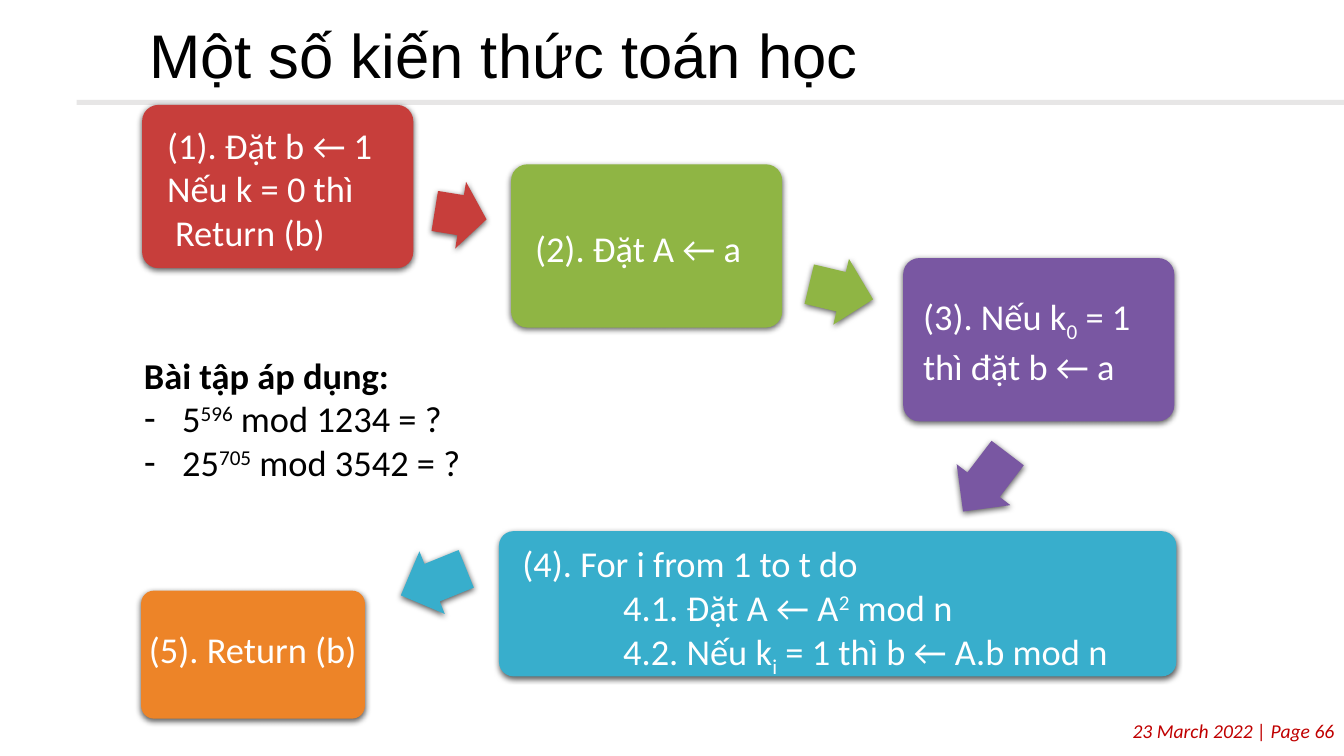
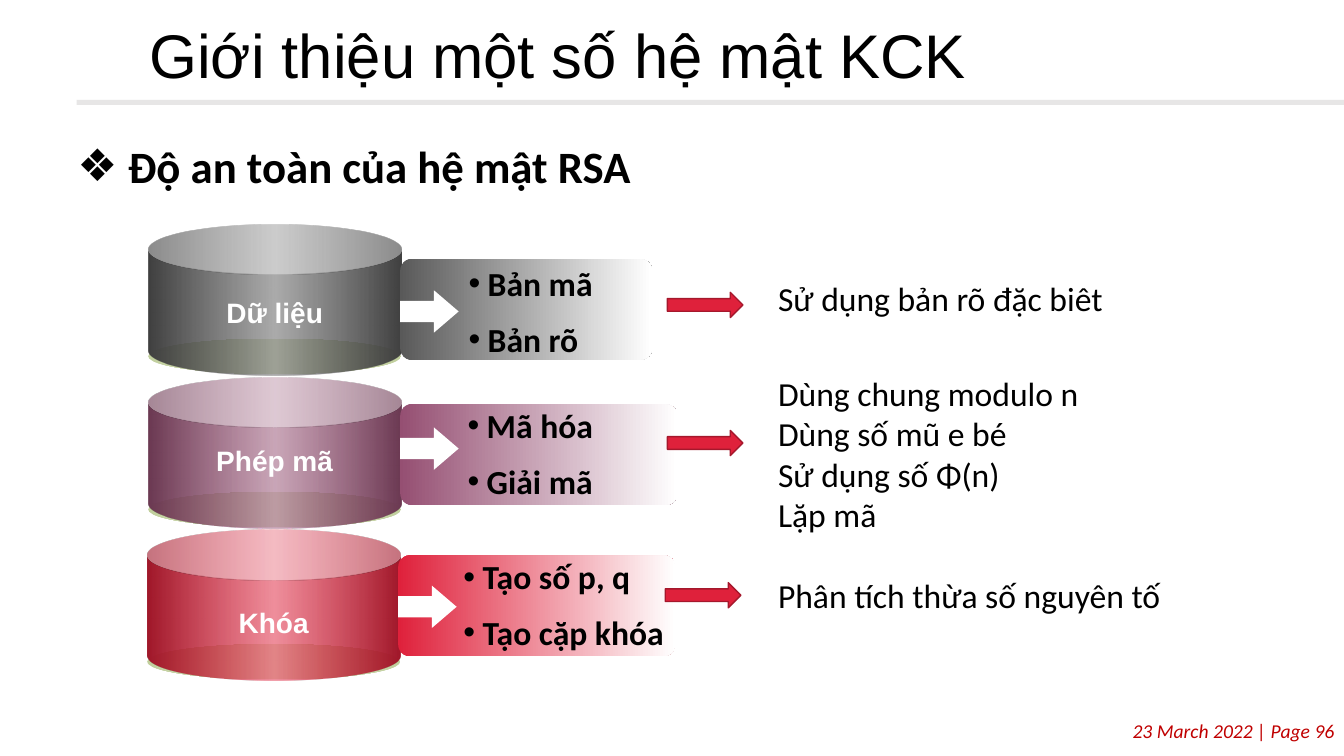
"""Build two lecture slides: an algorithm flow and an RSA safety overview."""
from dataclasses import dataclass

from lxml.etree import SubElement
from pptx import Presentation
from pptx.dml.color import RGBColor
from pptx.enum.shapes import MSO_SHAPE
from pptx.enum.text import MSO_ANCHOR, PP_ALIGN
from pptx.oxml import parse_xml
from pptx.oxml.ns import nsdecls, qn
from pptx.util import Emu, Inches, Pt

CELL = Inches(0.1)
COLUMNS, ROWS = 133.33, 75
SUBSCRIPT, SUPERSCRIPT = -25000, 30000


@dataclass(frozen=True)
class Theme:
    """Colours, fonts and type sizes of the deck."""
    title_font: str = "Arial"
    body_font: str = "Calibri"
    title_size: int = 44
    heading_size: int = 32
    step_size: int = 26
    note_size: int = 24
    label_size: int = 20
    footer_size: int = 14
    black: str = "000000"
    white: str = "FFFFFF"
    rule: str = "E7E6E6"
    footer: str = "C00000"
    red: str = "C73E3B"
    green: str = "8FB544"
    purple: str = "7957A2"
    blue: str = "38AECC"
    orange: str = "ED8428"
    crimson: str = "DF213B"
    crimson_dark: str = "A0182A"
    crimson_line: str = "A5182C"
    plum: str = "954F72"
    plum_dark: str = "6B3952"
    gray: str = "595959"
    gray_dark: str = "404040"
    base_edge: str = "C1CF9D"
    base_middle: str = "E5EBD5"


THEME = Theme()


@dataclass(frozen=True)
class Style:
    """Look of the text in one frame."""
    size: int
    color: str = THEME.black
    font: str = THEME.body_font
    bold: bool = False
    italic: bool = False
    align: PP_ALIGN = PP_ALIGN.LEFT
    line_spacing: float = 1.0
    gap: float = 0


@dataclass(frozen=True)
class Line:
    """One paragraph: its runs, indents in cells, and bullet."""
    runs: tuple
    margin: float = 0
    hanging: float = 0
    bullet: str = ""
    bold: bool = False


STEP = Style(THEME.step_size, THEME.white)
NOTE = Style(THEME.note_size)
BULLETS = Style(THEME.note_size, bold=True, gap=11)
LABEL = Style(THEME.label_size, THEME.white, THEME.title_font, bold=True,
              align=PP_ALIGN.CENTER)


def cells(count):
    """Turn grid cells into a length."""
    return Emu(round(count * CELL))


def format_paragraph(paragraph, line, style):
    """Apply indents, bullet and spacing to a paragraph."""
    properties = paragraph._p.get_or_add_pPr()
    if line.margin:
        properties.set("marL", str(cells(line.margin)))
        properties.set("indent", str(-cells(line.hanging)))
    if line.bullet:
        SubElement(properties, qn("a:buFont")).set("typeface", THEME.title_font)
        SubElement(properties, qn("a:buChar")).set("char", line.bullet)
    paragraph.alignment = style.align
    paragraph.line_spacing = style.line_spacing


def add_run(paragraph, content, style, bold):
    """Add a run given as text or as text with a baseline shift."""
    text, baseline = (content, 0) if isinstance(content, str) else content
    run = paragraph.add_run()
    run.text = text
    run.font.name = style.font
    run.font.size = Pt(style.size)
    run.font.bold = bold
    run.font.italic = style.italic
    run.font.color.rgb = RGBColor.from_string(style.color)
    if baseline:
        run._r.get_or_add_rPr().set("baseline", str(baseline))


def write(shape, lines, style, insets=(1, 0.5, 1, 0.5), anchor=MSO_ANCHOR.TOP):
    """Fill a shape's text frame with lines."""
    frame = shape.text_frame
    frame.word_wrap = True
    frame.vertical_anchor = anchor
    (frame.margin_left, frame.margin_top,
     frame.margin_right, frame.margin_bottom) = map(cells, insets)
    for index, item in enumerate(lines):
        line = Line((item,)) if isinstance(item, str) else item
        paragraph = frame.add_paragraph() if index else frame.paragraphs[0]
        format_paragraph(paragraph, line, style)
        if index and style.gap:
            paragraph.space_before = Pt(style.gap)
        for content in line.runs:
            add_run(paragraph, content, style, style.bold or line.bold)


def add_text(slide, box, lines, style, **options):
    """Add a text box at a grid box."""
    write(slide.shapes.add_textbox(*map(cells, box)), lines, style, **options)


def add_figure(slide, kind, box, color=None, adjustments=(), line=None):
    """Add a preset shape without shadow."""
    shape = slide.shapes.add_shape(kind, *map(cells, box))
    shape.shadow.inherit = False
    for index, value in enumerate(adjustments):
        shape.adjustments[index] = value
    if color:
        shape.fill.solid()
        shape.fill.fore_color.rgb = RGBColor.from_string(color)
    if line:
        shape.line.color.rgb = RGBColor.from_string(line)
        shape.line.width = Pt(1)
    else:
        shape.line.fill.background()
    return shape


def add_gradient_figure(slide, kind, box, stops, adjustments=()):
    """Add a shape with a horizontal gradient of (place, colour, opacity) stops."""
    shape = add_figure(slide, kind, box, adjustments=adjustments)
    marks = "".join(
        f'<a:gs pos="{place * 1000}"><a:srgbClr val="{color}">'
        f'<a:alpha val="{opacity * 1000}"/></a:srgbClr></a:gs>'
        for place, color, opacity in stops)
    gradient = parse_xml(
        f'<a:gradFill {nsdecls("a")} rotWithShape="1"><a:gsLst>{marks}</a:gsLst>'
        '<a:lin ang="0" scaled="1"/></a:gradFill>')
    shape._element.spPr.find(qn("a:prstGeom")).addnext(gradient)
    return shape


def add_soft_shadow(shape):
    """Give a shape a short downward shadow."""
    effects = shape._element.spPr.find(qn("a:effectLst"))
    effects.append(parse_xml(
        f'<a:outerShdw {nsdecls("a")} blurRad="{Pt(4.5)}" dist="{Pt(1.5)}" '
        f'dir="5400000" rotWithShape="0"><a:srgbClr val="{THEME.black}">'
        '<a:alpha val="63000"/></a:srgbClr></a:outerShdw>'))


def add_step(slide, box, color, lines, left, top):
    """Add a rounded step box with its text."""
    shape = add_figure(slide, MSO_SHAPE.ROUNDED_RECTANGLE, box, color, (0.1,))
    add_soft_shadow(shape)
    write(shape, lines, STEP, insets=(left, top, 0, 0))


def add_step_arrow(slide, box, color, rotation):
    """Add a turned block arrow between steps."""
    shape = add_figure(slide, MSO_SHAPE.RIGHT_ARROW, box, color, (0.6, 0.5))
    shape.rotation = rotation
    add_soft_shadow(shape)


def add_slide(presentation, title, page):
    """Add a blank slide with the shared title, rule and footer."""
    slide = presentation.slides.add_slide(presentation.slide_layouts[6])
    add_text(slide, (0.5, 70.8, 132.9, 3.4), [f"23 March 2022 | Page {page}"],
             Style(THEME.footer_size, THEME.footer, italic=True,
                   align=PP_ALIGN.RIGHT))
    add_figure(slide, MSO_SHAPE.RECTANGLE, (7.6, 9.9, 125.73, 0.5), THEME.rule)
    add_text(slide, (12.1, 1.9, 120.5, 7.8), [title],
             Style(THEME.title_size, font=THEME.title_font, line_spacing=0.9),
             insets=(2.7, 0.5, 1, 0.5), anchor=MSO_ANCHOR.MIDDLE)
    return slide


def build_algorithm(presentation):
    """Build the five-step exponentiation slide."""
    slide = add_slide(presentation, "Một số kiến thức toán học", 66)
    width, height = 26.9, 16.2
    steps = [
        ((14.1, 10.4, width, height), THEME.red,
         ["(1). Đặt b ← 1", "Nếu k = 0 thì", Line(("Return (b)",), margin=0.8)],
         2, 1.3),
        ((50.7, 16.3, width, height), THEME.green, ["(2). Đặt A ← a"], 1.9, 5.7),
        ((89.6, 25.6, width, height), THEME.purple,
         [Line(("(3). Nếu k", ("0", SUBSCRIPT), " = 1")), "thì đặt b ← a"],
         1.5, 3.1),
        ((49.5, 52.7, 67.2, 14.4), THEME.blue,
         ["(4). For i from 1 to t do",
          Line(("4.1. Đặt A ← A", ("2", SUPERSCRIPT), " mod n"), margin=10),
          Line(("4.2. Nếu k", ("i", SUBSCRIPT), " = 1 thì b ← A.b mod n"),
               margin=10)], 1.9, 0.6),
        ((14, 58.6, 22.2, 12.7), THEME.orange, ["(5). Return (b)"], 0.4, 3.2),
    ]
    for step in steps:
        add_step(slide, *step)
    arrows = [
        ((43.1, 18, 5.2, 6.7), THEME.red, 9.2),
        ((80.2, 25.6, 6.5, 6.7), THEME.green, 13.4),
        ((94.1, 44.5, 7.3, 6.7), THEME.purple, 127.3),
        ((39.5, 54.4, 7, 6.7), THEME.blue, 157.9),
    ]
    for arrow in arrows:
        add_step_arrow(slide, *arrow)
    exercises = [("5", "596", " mod 1234 = ?"), ("25", "705", " mod 3542 = ?")]
    add_text(slide, (13.3, 34.5, 50, 14.1),
             [Line(("Bài tập áp dụng:",), bold=True)]
             + [Line((base, (power, SUPERSCRIPT), rest), 3.8, 3.8, "-")
                for base, power, rest in exercises], Style(THEME.step_size))


def add_can(slide, left, top, edge, middle, label, label_inset):
    """Add a labelled cylinder on its pale base."""
    add_gradient_figure(
        slide, MSO_SHAPE.OVAL, (left, top + 11.3, 25.1, 3.5),
        [(0, THEME.base_edge, 100), (50, THEME.base_middle, 100),
         (100, THEME.base_edge, 100)])
    can = add_gradient_figure(
        slide, MSO_SHAPE.CAN, (left, top, 25.1, 14.9),
        [(0, edge, 100), (50, middle, 50), (100, edge, 100)], (0.332,))
    write(can, [label], LABEL, insets=(0, label_inset, 0, 0))


def add_target(slide, left, top, width, color, bullets, bullet_box, arrow_top):
    """Add a fading band with its bullets and white arrow."""
    add_gradient_figure(slide, MSO_SHAPE.ROUNDED_RECTANGLE,
                        (left, top, width, 10),
                        [(0, color, 100), (100, THEME.white, 100)], (0.115,))
    add_figure(slide, MSO_SHAPE.RIGHT_ARROW, (left, arrow_top, 5.8, 4.2),
               THEME.white, (0.5, 0.583))
    add_text(slide, (*bullet_box, 30, 11.1),
             [Line((text,), 1.9, 1.9, "•") for text in bullets], BULLETS)


def build_safety(presentation):
    """Build the RSA safety slide."""
    slide = add_slide(presentation, "Giới thiệu một số hệ mật KCK", 96)
    add_text(slide, (5, 11.2, 126.6, 8.7),
             [Line(("Độ an toàn của hệ mật RSA",), 6.7, 5, "❖")],
             Style(THEME.heading_size, bold=True, line_spacing=1.3),
             insets=(1, 1, 1, 1))
    cans = [
        (14.6, 52.6, THEME.crimson_dark, THEME.crimson, "Khóa", 2.5),
        (14.7, 37.5, THEME.plum_dark, THEME.plum, "Phép mã", 1.6),
        (14.7, 22.3, THEME.gray_dark, THEME.gray, "Dữ liệu", 2.1),
    ]
    for can in cans:
        add_can(slide, *can)
    targets = [
        (39.7, 25.7, 25, THEME.gray, ["Bản mã", "Bản rõ"], (45.5, 25.6), 28.8),
        (39.7, 40.1, 27.5, THEME.plum, ["Mã hóa", "Giải mã"], (45.4, 39.7), 42.4),
        (39.5, 55.1, 27.5, THEME.crimson, ["Tạo số p, q", "Tạo cặp khóa"],
         (45, 54.7), 58.1),
    ]
    for target in targets:
        add_target(slide, *target)
    attacks = [
        (66.2, 29, 27.1, ["Sử dụng bản rõ đặc biêt"]),
        (66.2, 42.7, 36.5, ["Dùng chung modulo n", "Dùng số mũ e bé",
                            "Sử dụng số Φ(n)", "Lặp mã"]),
        (66, 57.8, 56.5, ["Phân tích thừa số nguyên tố"]),
    ]
    for left, arrow_top, text_top, lines in attacks:
        add_figure(slide, MSO_SHAPE.RIGHT_ARROW, (left, arrow_top, 7.5, 2.5),
                   THEME.crimson, line=THEME.crimson_line)
        add_text(slide, (76.2, text_top, 42.3, 1 + 4 * len(lines)), lines, NOTE)


def main():
    """Build and save the presentation."""
    presentation = Presentation()
    presentation.slide_width = cells(COLUMNS)
    presentation.slide_height = cells(ROWS)
    build_algorithm(presentation)
    build_safety(presentation)
    presentation.save("out.pptx")


if __name__ == "__main__":
    main()
